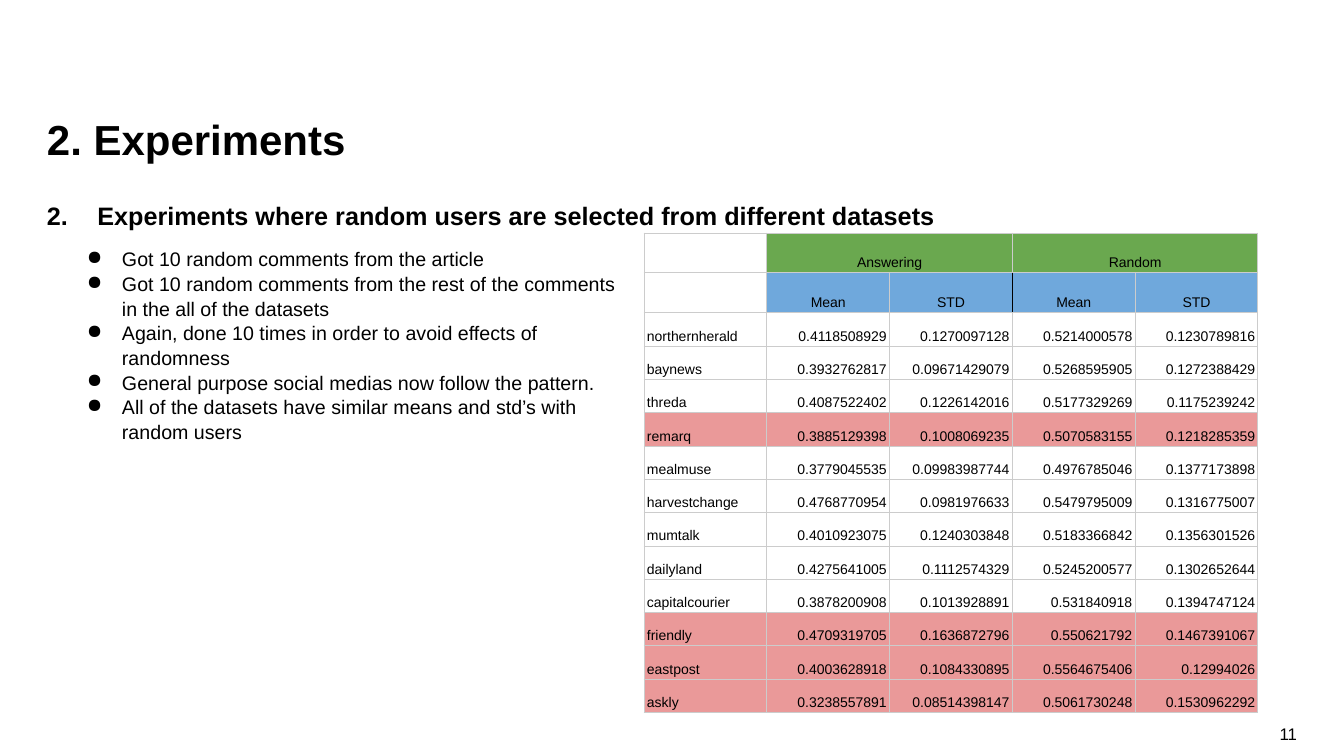
from lxml.etree import SubElement as Sub
from pptx import Presentation
from pptx.dml.color import RGBColor
from pptx.enum.text import MSO_ANCHOR as Anchor, MSO_AUTO_SIZE as Fit, PP_ALIGN as Align
from pptx.oxml.ns import qn
from pptx.util import Pt

PX = 914400 / 100.8
BLACK, GREY = "000000", "CCCCCC"
GREEN, BLUE, RED = "6AA84F", "6FA8DC", "EA9999"

POINTS = [
    "Got 10 random comments from the article",
    "Got 10 random comments from the rest of the comments in the all of the datasets",
    "Again, done 10 times in order to avoid effects of randomness",
    "General purpose social medias now follow the pattern.",
    "All of the datasets have similar means and std’s with random users",
]
HEADS = [["", "Answering", "", "Random", ""], ["", "Mean", "STD", "Mean", "STD"]]
SITES = [
    ["northernherald", "0.4118508929", "0.1270097128", "0.5214000578", "0.1230789816"],
    ["baynews", "0.3932762817", "0.09671429079", "0.5268595905", "0.1272388429"],
    ["threda", "0.4087522402", "0.1226142016", "0.5177329269", "0.1175239242"],
    ["remarq", "0.3885129398", "0.1008069235", "0.5070583155", "0.1218285359"],
    ["mealmuse", "0.3779045535", "0.09983987744", "0.4976785046", "0.1377173898"],
    ["harvestchange", "0.4768770954", "0.0981976633", "0.5479795009", "0.1316775007"],
    ["mumtalk", "0.4010923075", "0.1240303848", "0.5183366842", "0.1356301526"],
    ["dailyland", "0.4275641005", "0.1112574329", "0.5245200577", "0.1302652644"],
    ["capitalcourier", "0.3878200908", "0.1013928891", "0.531840918", "0.1394747124"],
    ["friendly", "0.4709319705", "0.1636872796", "0.550621792", "0.1467391067"],
    ["eastpost", "0.4003628918", "0.1084330895", "0.5564675406", "0.12994026"],
    ["askly", "0.3238557891", "0.08514398147", "0.5061730248", "0.1530962292"],
]
MARKED = {"remarq", "friendly", "eastpost", "askly"}


def px(n):
    """Turn pixels into EMU."""
    return round(n * PX)


def hue(code):
    """Turn a hex string into a colour."""
    return RGBColor.from_string(code)


def write(frame, text, size=14, bold=False, align=Align.LEFT, space=1.0, bullet=False):
    """Fill a text frame with one paragraph per line of text."""
    for i, line in enumerate(text.split("\n")):
        par = frame.add_paragraph() if i else frame.paragraphs[0]
        par.alignment, par.line_spacing = align, space
        par.space_before = par.space_after = Pt(0)
        par.font.size = Pt(size)
        if line:
            run = par.add_run()
            run.text = line
            font = run.font
            font.name, font.size, font.bold = "Arial", Pt(size), bold
            font.color.rgb = hue(BLACK)
        if bullet:
            props = par._p.get_or_add_pPr()
            props.set("marL", str(px(50)))
            props.set("indent", str(-px(35)))
            tint = Sub(props, qn("a:buClr"))
            Sub(tint, qn("a:srgbClr"), val=BLACK)
            Sub(props, qn("a:buChar"), char="●")


def place(shape, box, pad=(0, 0), anchor=Anchor.TOP):
    """Move a text shape to a box, set its padding and return its frame."""
    shape.left, shape.top, shape.width, shape.height = map(px, box)
    frame = shape.text_frame
    frame.word_wrap, frame.auto_size = True, Fit.NONE
    frame.vertical_anchor = anchor
    frame.margin_left = frame.margin_right = px(pad[0])
    frame.margin_top = frame.margin_bottom = px(pad[1])
    return frame


def label(slide, box, text, pad=(0, 0), anchor=Anchor.TOP, **style):
    """Add a text box."""
    shape = slide.shapes.add_textbox(0, 0, 0, 0)
    write(place(shape, box, pad, anchor), text, **style)


def edge(cell, **sides):
    """Draw the cell's borders, grey unless a side names its colour."""
    props = cell._tc.get_or_add_tcPr()
    for i, side in enumerate("LRTB"):
        line = props.makeelement(qn(f"a:ln{side}"), {"w": str(Pt(0.75))})
        fill = Sub(line, qn("a:solidFill"))
        Sub(fill, qn("a:srgbClr"), val=sides.get(side, GREY))
        props.insert(i, line)


def tone(r, c, name):
    """Pick the fill of a cell, or None."""
    if r < len(HEADS):
        return (GREEN, BLUE)[r] if c else None
    return RED if name in MARKED else None


def grid(slide, box, head):
    """Add the table of means, with header rows of the given height."""
    x, y, w, h = box
    rows = HEADS + SITES
    table = slide.shapes.add_table(len(rows), 5, px(x), px(y), px(w), px(h)).table
    table.first_row = table.horz_banding = False
    for r, row in enumerate(rows):
        top = r < len(HEADS)
        rest = px(h - len(HEADS) * head) // len(SITES)
        table.rows[r].height = px(head) if top else rest
        for c, text in enumerate(row):
            cell = table.cell(r, c)
            cell.margin_left = cell.margin_right = px(3)
            cell.margin_top = cell.margin_bottom = px(2)
            cell.vertical_anchor = Anchor.BOTTOM
            align = Align.CENTER if top else Align.RIGHT if c else Align.LEFT
            write(cell.text_frame, text, size=10, align=align, space=1.15)
            fill = tone(r, c, row[0])
            if fill:
                cell.fill.solid()
                cell.fill.fore_color.rgb = hue(fill)
            else:
                cell.fill.background()
            edge(cell, **({2: {"R": BLACK}, 3: {"L": BLACK}}.get(c, {}) if r == 1 else {}))
    for c in (1, 3):
        table.cell(0, c).merge(table.cell(0, c + 1))


def page(deck):
    """Build the experiments slide."""
    slide = deck.slides.add_slide(deck.slide_layouts[5])
    write(place(slide.shapes.title, (47, 110, 1251, 45)), "2. Experiments",
          size=30, bold=True, space=1.06)
    label(slide, (47, 196, 1173, 518),
          "2.\tExperiments where random users are selected from different datasets",
          size=18, bold=True, space=1.14)
    grid(slide, (644, 233, 614, 480), 40)
    label(slide, (62, 236, 565, 457), "\n".join(POINTS), pad=(10, 10), space=1.05, bullet=True)
    label(slide, (996, 714, 301, 40), "11", pad=(0, 5), anchor=Anchor.MIDDLE,
          size=12, align=Align.RIGHT)


def main():
    """Make the deck and save it."""
    deck = Presentation()
    deck.slide_width, deck.slide_height = px(1344), px(756)
    page(deck)
    deck.save("out.pptx")


if __name__ == "__main__":
    main()
